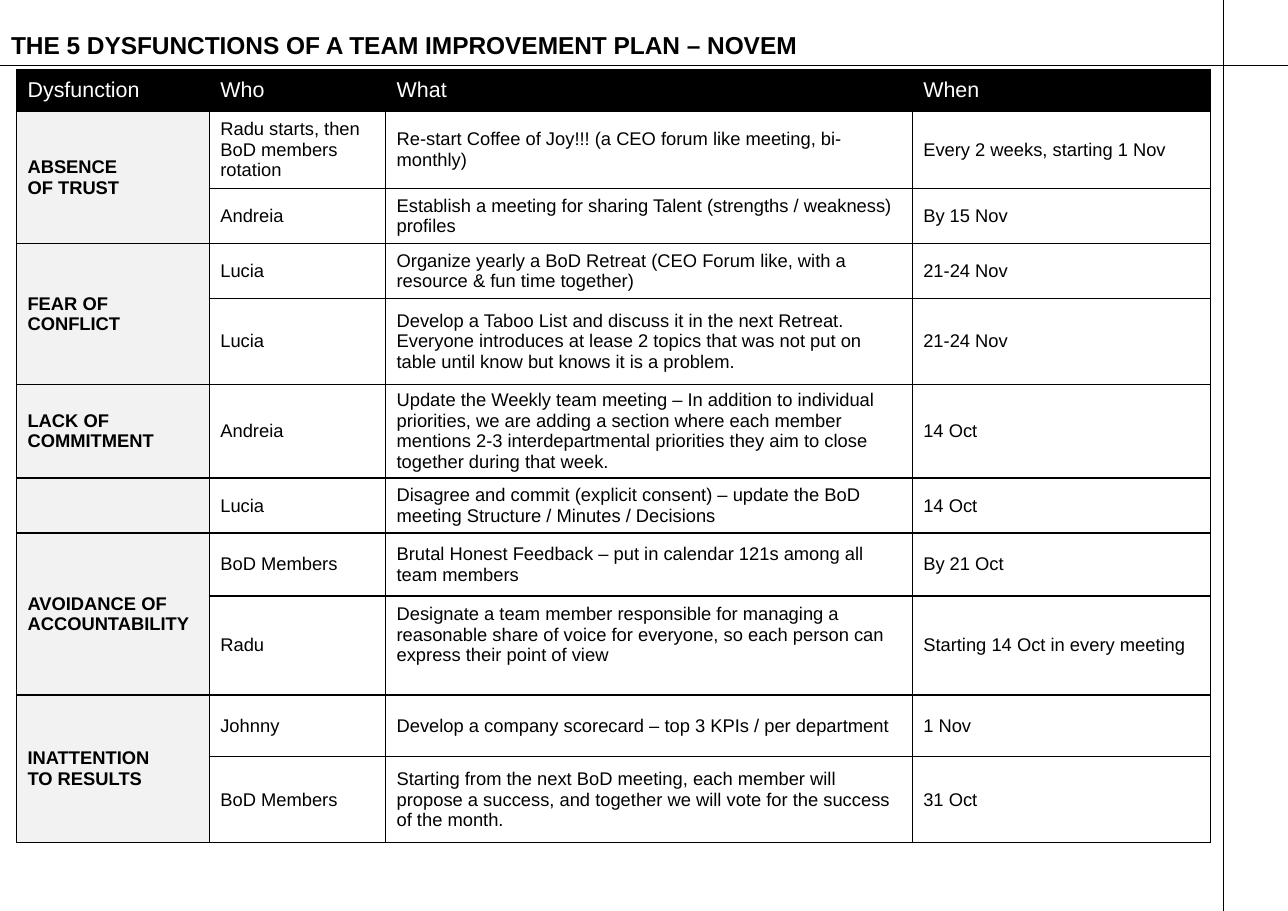
from lxml.etree import SubElement
from pptx import Presentation
from pptx.dml.color import RGBColor
from pptx.enum.shapes import MSO_CONNECTOR
from pptx.enum.text import MSO_ANCHOR, MSO_AUTO_SIZE, PP_ALIGN
from pptx.oxml.ns import qn
from pptx.util import Inches, Pt

BLACK = RGBColor(0x00, 0x00, 0x00)
WHITE = RGBColor(0xFF, 0xFF, 0xFF)
PALE_GREY = RGBColor(0xF2, 0xF2, 0xF2)
FONT = "Arial"

SLIDE_W, SLIDE_H = Inches(11.69), Inches(8.27)
HEADING_RULE_Y = Inches(0.59)
MARGIN_RULE_X = Inches(11.1)

COLUMNS = [1.75, 1.6, 4.78, 2.71]
HEADER_HEIGHT = 0.38
HEADER = ["Dysfunction", "Who", "What", "When"]

# Each dysfunction holds its actions: (row height, who, what, when)
PLAN = [
    ("ABSENCE\nOF TRUST", [
        (0.7, "Radu starts, then BoD members rotation",
         "Re-start Coffee of Joy!!! (a CEO forum like meeting, bi-monthly)",
         "Every 2 weeks, starting 1 Nov"),
        (0.5, "Andreia",
         "Establish a meeting for sharing Talent (strengths / weakness) profiles",
         "By 15 Nov"),
    ]),
    ("FEAR OF CONFLICT", [
        (0.5, "Lucia",
         "Organize yearly a BoD Retreat (CEO Forum like, with a resource & fun time together)",
         "21-24 Nov"),
        (0.78, "Lucia",
         "Develop a Taboo List and discuss it in the next Retreat. Everyone introduces "
         "at lease 2 topics that was not put on table until know but knows it is a problem.",
         "21-24 Nov"),
    ]),
    ("LACK OF COMMITMENT", [
        (0.85, "Andreia",
         "Update the Weekly team meeting – In addition to individual priorities, we are "
         "adding a section where each member mentions 2-3 interdepartmental priorities "
         "they aim to close together during that week.",
         "14 Oct"),
    ]),
    ("", [
        (0.5, "Lucia",
         "Disagree and commit (explicit consent) – update the BoD meeting Structure / "
         "Minutes / Decisions",
         "14 Oct"),
    ]),
    ("AVOIDANCE OF ACCOUNTABILITY", [
        (0.57, "BoD Members",
         "Brutal Honest Feedback – put in calendar 121s among all team members",
         "By 21 Oct"),
        (0.9, "Radu",
         "Designate a team member responsible for managing a reasonable share of voice "
         "for everyone, so each person can express their point of view",
         "Starting 14 Oct in every meeting"),
    ]),
    ("INATTENTION\nTO RESULTS", [
        (0.56, "Johnny",
         "Develop a company scorecard – top 3 KPIs / per department",
         "1 Nov"),
        (0.78, "BoD Members",
         "Starting from the next BoD meeting, each member will propose a success, and "
         "together we will vote for the success of the month.",
         "31 Oct"),
    ]),
]
RAISED_ACTION = (8, 2)  # row and column of the text that sits above its cell's middle


def add_rule(slide, x1, y1, x2, y2):
    rule = slide.shapes.add_connector(MSO_CONNECTOR.STRAIGHT, x1, y1, x2, y2)
    rule.line.color.rgb = BLACK
    rule.line.width = Pt(0.5)
    SubElement(rule._element.spPr, qn("a:effectLst"))


def add_heading(slide, left, top, width, height):
    heading = slide.shapes.title
    heading.left, heading.top, heading.width, heading.height = left, top, width, height
    frame = heading.text_frame
    frame.text = "THE 5 DYSFUNCTIONS OF A TEAM IMPROVEMENT PLAN – NOVEM"
    frame.word_wrap = True
    frame.auto_size = MSO_AUTO_SIZE.NONE
    frame.vertical_anchor = MSO_ANCHOR.TOP
    line = frame.paragraphs[0]
    line.alignment = PP_ALIGN.LEFT
    set_font(line.font, 16, BLACK, bold=True)


def set_font(font, size, color, bold=False):
    font.name, font.size, font.bold = FONT, Pt(size), bold
    font.color.rgb = color


def set_borders(cell):
    properties = cell._tc.get_or_add_tcPr()
    for side in ("a:lnL", "a:lnR", "a:lnT", "a:lnB"):
        border = SubElement(properties, qn(side), w=str(Pt(1)))
        fill = SubElement(border, qn("a:solidFill"))
        SubElement(fill, qn("a:srgbClr"), val=str(BLACK))


def fill_cell(cell, text, size=12, color=BLACK, bold=False, background=None):
    set_borders(cell)
    if background is None:
        cell.fill.background()
    else:
        cell.fill.solid()
        cell.fill.fore_color.rgb = background
    cell.vertical_anchor = MSO_ANCHOR.MIDDLE
    cell.text = text
    for paragraph in cell.text_frame.paragraphs:
        set_font(paragraph.font, size, color, bold)


def add_plan(slide, left, top):
    heights = [HEADER_HEIGHT] + [action[0] for _, actions in PLAN for action in actions]
    plan = slide.shapes.add_table(len(heights), len(COLUMNS), left, top,
                                  Inches(sum(COLUMNS)), Inches(sum(heights))).table
    plan.first_row = plan.horz_banding = False
    for column, width in zip(plan.columns, COLUMNS):
        column.width = Inches(width)
    for row, height in zip(plan.rows, heights):
        row.height = Inches(height)

    for column, label in enumerate(HEADER):
        fill_cell(plan.cell(0, column), label, 14, WHITE, background=BLACK)

    row = 1
    for dysfunction, actions in PLAN:
        first = row
        for _, *details in actions:
            label = dysfunction if row == first else ""
            fill_cell(plan.cell(row, 0), label, bold=True, background=PALE_GREY)
            for column, detail in enumerate(details, start=1):
                fill_cell(plan.cell(row, column), detail)
            row += 1
        if len(actions) > 1:
            plan.cell(first, 0).merge(plan.cell(row - 1, 0))
    plan.cell(*RAISED_ACTION).margin_bottom = Inches(0.24)


def main():
    deck = Presentation()
    deck.slide_width, deck.slide_height = SLIDE_W, SLIDE_H
    slide = deck.slides.add_slide(deck.slide_layouts[5])
    add_rule(slide, MARGIN_RULE_X, SLIDE_H, MARGIN_RULE_X, 0)
    add_plan(slide, Inches(0.15), Inches(0.63))
    add_rule(slide, SLIDE_W, HEADING_RULE_Y, 0, HEADING_RULE_Y)
    add_heading(slide, 0, Inches(0.22), Inches(7.78), Inches(0.37))
    deck.save("out.pptx")


if __name__ == "__main__":
    main()
